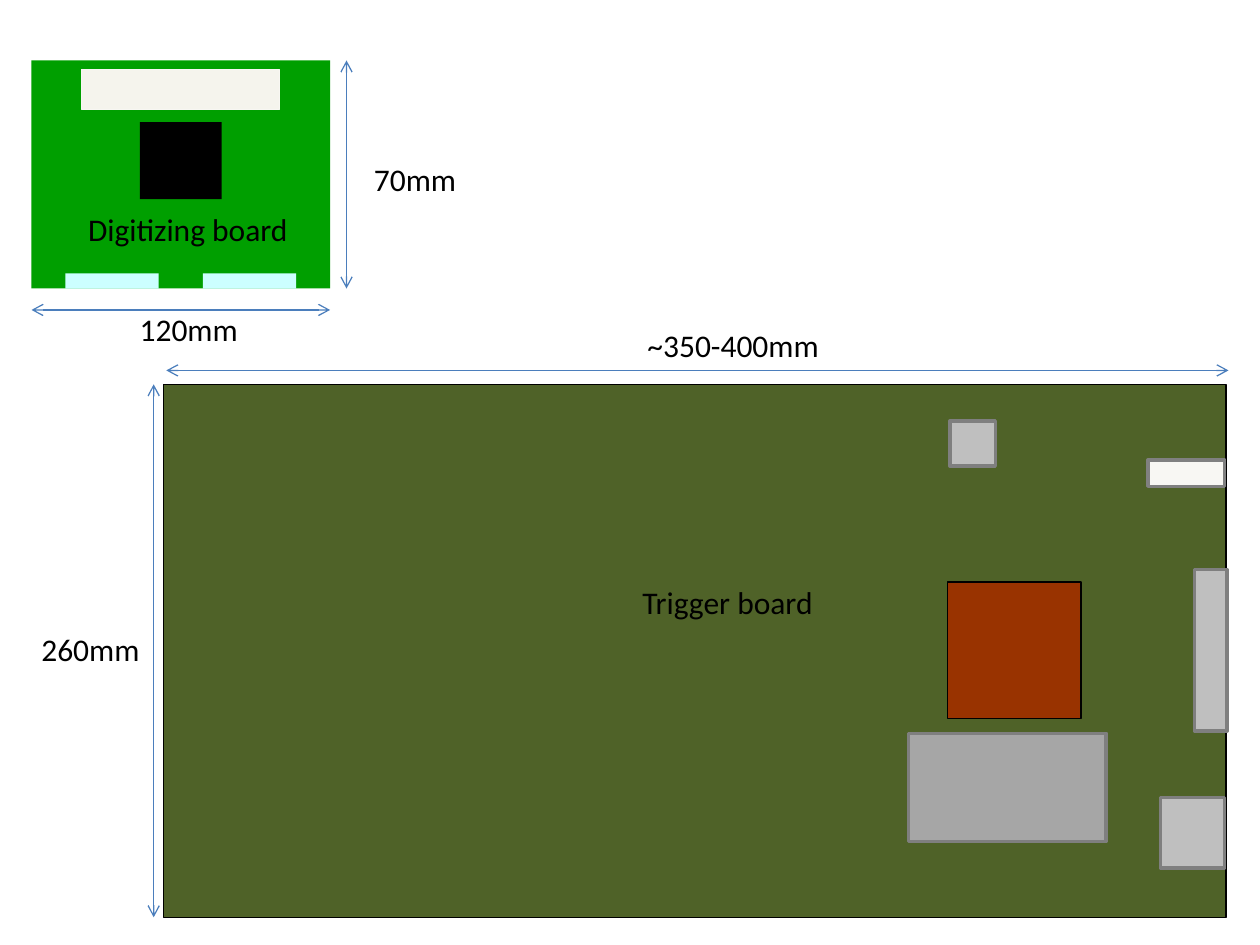
from dataclasses import dataclass

from lxml.etree import SubElement
from pptx import Presentation
from pptx.dml.color import RGBColor
from pptx.enum.shapes import MSO_CONNECTOR as Connector, MSO_SHAPE as Shape
from pptx.enum.text import MSO_AUTO_SIZE as AutoSize
from pptx.oxml.ns import qn
from pptx.util import Inches, Pt


@dataclass(frozen=True)
class Theme:
    """Colours, type and line widths of the board drawing."""
    digitizer: str = "009F00"
    trigger: str = "4F6228"
    header: str = "F5F4ED"
    header_edge: str = "F8F7F3"
    chip: str = "000000"
    edge_pad: str = "CCFFFF"
    processor: str = "993300"
    metal: str = "BFBFBF"
    module: str = "A6A6A6"
    metal_edge: str = "7F7F7F"
    socket: str = "F8F7F3"
    socket_edge: str = "808080"
    outline: str = "000000"
    arrow: str = "4B7EBC"
    text: str = "000000"
    font: str = "Calibri"
    size: int = 18
    thin: float = 0.75
    thick: float = 2


THEME = Theme()


def apply_format(target, values):
    """Set each attribute named in a dict of format values."""
    for name, value in values.items():
        setattr(target, name, value)


def add_part(slide, box, fill, edge=None, width=THEME.thin):
    """Draw one rectangular board part."""
    part = slide.shapes.add_shape(Shape.RECTANGLE, *map(Inches, box))
    part.shadow.inherit = False
    part.fill.solid()
    part.fill.fore_color.rgb = RGBColor.from_string(fill)
    if edge:
        part.line.color.rgb = RGBColor.from_string(edge)
        part.line.width = Pt(width)
    else:
        part.line.fill.background()


def add_parts(slide, board, parts):
    """Draw parts whose boxes are offset from the board corner."""
    left, top = board[:2]
    for (x, y, width, height), *style in parts:
        add_part(slide, (left + x, top + y, width, height), *style)


def add_dimension(slide, start, end):
    """Draw a dimension line with open arrows at both ends."""
    dimension = slide.shapes.add_connector(
        Connector.STRAIGHT, *map(Inches, (*start, *end)))
    dimension.line.color.rgb = RGBColor.from_string(THEME.arrow)
    dimension.line.width = Pt(THEME.thin)
    outline = dimension.line._get_or_add_ln()
    for tip in ("a:headEnd", "a:tailEnd"):
        SubElement(outline, qn(tip), type="arrow")
    SubElement(dimension._element.spPr, qn("a:effectLst"))


def add_labels(slide, board, labels):
    """Write labels whose boxes are offset from the board corner."""
    left, top = board[:2]
    for wording, x, y, width in labels:
        label = slide.shapes.add_textbox(
            *map(Inches, (left + x, top + y, width, 0.4)))
        apply_format(label.text_frame, {
            "word_wrap": False, "auto_size": AutoSize.SHAPE_TO_FIT_TEXT})
        run = label.text_frame.paragraphs[0].add_run()
        run.text = wording
        apply_format(run.font, {"name": THEME.font, "size": Pt(THEME.size)})
        run.font.color.rgb = RGBColor.from_string(THEME.text)


def draw_digitizing_board(slide, board):
    """Draw the digitizing board with its dimensions below and right."""
    left, top, width, height = board
    right, bottom = left + width, top + height
    add_part(slide, board, THEME.digitizer)
    add_parts(slide, board, [
        ((0.4, 0.07, 1.57, 0.32), THEME.header, THEME.header_edge),
        ((0.86, 0.49, 0.65, 0.61), THEME.chip),
        *(((x, height - 0.12, 0.74, 0.12), THEME.edge_pad)
          for x in (0.27, 1.36)),
    ])
    add_dimension(slide, (left, bottom + 0.17), (right, bottom + 0.17))
    add_dimension(slide, (right + 0.13, top), (right + 0.13, bottom))
    add_labels(slide, board, [
        ("70mm", 2.62, 0.74, 0.86),
        ("120mm", 0.76, 1.93, 0.99),
        ("Digitizing board", 0.35, 1.14, 1.81),
    ])


def draw_trigger_board(slide, board):
    """Draw the trigger board with its dimensions above and left."""
    left, top, width, height = board
    metal = (THEME.metal, THEME.metal_edge, THEME.thick)
    add_part(slide, board, THEME.trigger, THEME.outline)
    add_parts(slide, board, [
        ((6.22, 1.57, 1.06, 1.08), THEME.processor, THEME.outline),
        ((6.24, 0.29, 0.36, 0.36), *metal),
        ((8.18, 1.47, 0.26, 1.28), *metal),
        ((7.91, 3.28, 0.51, 0.56), *metal),
        ((7.81, 0.6, 0.61, 0.21),
         THEME.socket, THEME.socket_edge, THEME.thick),
        ((5.91, 2.77, 1.57, 0.86),
         THEME.module, THEME.metal_edge, THEME.thick),
    ])
    add_dimension(slide, (left + 0.02, top - 0.11),
                  (left + width + 0.02, top - 0.11))
    add_dimension(slide, (left - 0.08, top), (left - 0.08, top + height))
    add_labels(slide, board, [
        ("~350-400mm", 3.74, -0.51, 1.58),
        ("260mm", -1.07, 1.9, 0.99),
        ("Trigger board", 3.7, 1.53, 1.57),
    ])


def main():
    """Build and save the slide of the two boards."""
    deck = Presentation()
    apply_format(deck, {"slide_width": Inches(10),
                        "slide_height": Inches(7.5)})
    slide = deck.slides.add_slide(deck.slide_layouts.get_by_name("Blank"))
    draw_digitizing_board(slide, (0.25, 0.48, 2.37, 1.81))
    draw_trigger_board(slide, (1.3, 3.05, 8.43, 4.23))
    deck.save("out.pptx")


if __name__ == "__main__":
    main()
